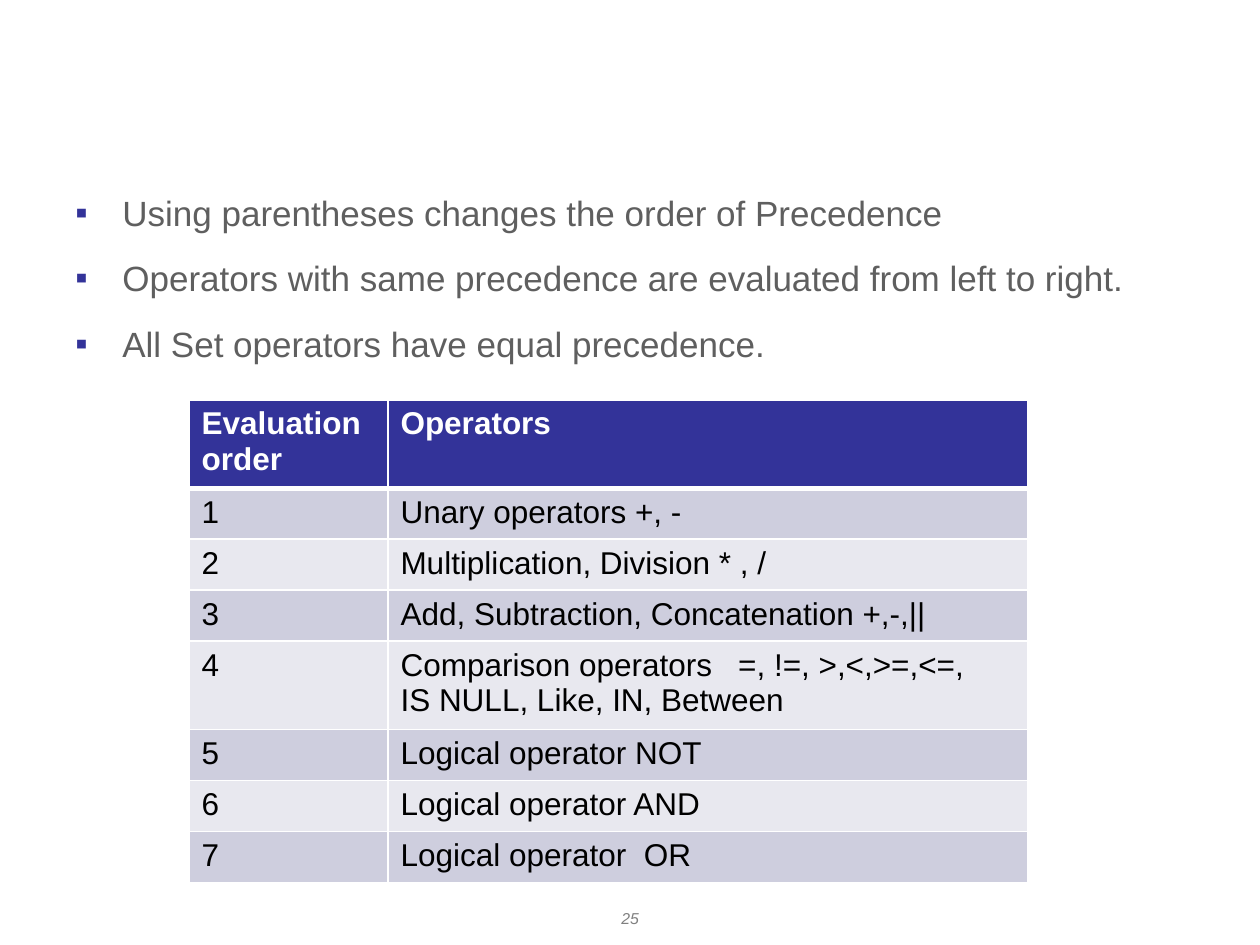
import dataclasses

import pptx
import pptx.dml.color
import pptx.enum.text
import pptx.oxml
import pptx.oxml.ns
import pptx.util

ALIGN = pptx.enum.text.PP_ALIGN


@dataclasses.dataclass(frozen=True)
class Theme:
    font: str = "Arial"
    navy: str = "333399"
    gray: str = "5F5F5F"
    pale: str = "808080"
    black: str = "000000"
    white: str = "FFFFFF"
    bands: tuple = ("CECEDE", "E8E8EF")
    body: int = 20
    cell: int = 18
    note: int = 9


def px(n):
    return pptx.util.Emu(round(n * 914400 / 126))


def color(code):
    return pptx.dml.color.RGBColor.from_string(code)


def node(tag, inner="", **attrs):
    names = " ".join(f'{key}="{val}"' for key, val in attrs.items())
    space = pptx.oxml.ns.nsdecls("a")
    return pptx.oxml.parse_xml(f"<a:{tag} {space} {names}>{inner}</a:{tag}>")


def solid(code):
    return f'<a:solidFill><a:srgbClr val="{code}"/></a:solidFill>'


def write(frame, text, font, size, ink, bold=False, slant=False, align=ALIGN.LEFT):
    frame.word_wrap = True
    for i, line in enumerate(text.split("\n")):
        par = frame.paragraphs[0] if i == 0 else frame.add_paragraph()
        par.alignment = align
        run = par.add_run()
        run.text = line
        run.font.name = font
        run.font.size = pptx.util.Pt(size)
        run.font.bold = bold
        run.font.italic = slant
        run.font.color.rgb = color(ink)


class Deck:
    def __init__(self, theme):
        self.theme = theme
        self.file = pptx.Presentation()
        self.file.slide_width = px(1260)
        self.file.slide_height = px(945)
        self.slide = self.file.slides.add_slide(self.file.slide_layouts[6])

    def text(self, box, text, **style):
        frame = self.slide.shapes.add_textbox(*map(px, box)).text_frame
        write(frame, text, self.theme.font, **style)
        return frame

    def list(self, box, lines):
        look = self.theme
        frame = self.text(box, "\n".join(lines), size=look.body, ink=look.gray)
        for par in frame.paragraphs:
            par.line_spacing = 1.4
            props = par._p.get_or_add_pPr()
            props.set("marL", str(px(47)))
            props.set("indent", str(-px(47)))
            props.append(node("spcBef", '<a:spcPct val="20000"/>'))
            props.append(node("buClr", f'<a:srgbClr val="{look.navy}"/>'))
            props.append(node("buFont", typeface=look.font))
            props.append(node("buChar", char="▪"))

    def edge(self, cell, side, points):
        width = pptx.util.Pt(points)
        line = node(side, solid(self.theme.white), w=width)
        cell._tc.get_or_add_tcPr().append(line)

    def table(self, left, top, cols, highs, rows):
        look = self.theme
        size = map(px, (left, top, sum(cols), sum(highs)))
        grid = self.slide.shapes.add_table(len(rows), len(cols), *size).table
        grid.first_row = grid.horz_banding = False
        for col, wide in zip(grid.columns, cols):
            col.width = px(wide)
        for r, (row, high) in enumerate(zip(rows, highs)):
            grid.rows[r].height = px(high)
            head = r == 0
            for c, words in enumerate(row):
                cell = grid.cell(r, c)
                write(cell.text_frame, words, look.font, look.cell,
                      look.white if head else look.black, bold=head)
                for side in ("lnL", "lnR"):
                    self.edge(cell, side, 1)
                self.edge(cell, "lnT", 3 if r == 1 else 1)
                self.edge(cell, "lnB", 3 if head else 1)
                cell.fill.solid()
                fill = look.navy if head else look.bands[(r - 1) % 2]
                cell.fill.fore_color.rgb = color(fill)


def main():
    look = Theme()
    deck = Deck(look)
    deck.list((63, 168, 1134, 724), [
        "Using parentheses changes the order of Precedence",
        "Operators with same precedence are evaluated from left to right.",
        "All Set operators have equal precedence.",
    ])
    deck.text((483, 903, 294, 33), "25", size=look.note, ink=look.pale,
              slant=True, align=ALIGN.CENTER)
    levels = [
        "Unary operators +, -",
        "Multiplication, Division * , /",
        "Add, Subtraction, Concatenation +,-,||",
        "Comparison operators   =, !=, >,<,>=,<=,\nIS NULL, Like, IN, Between",
        "Logical operator NOT",
        "Logical operator AND",
        "Logical operator  OR",
    ]
    rows = [("Evaluation order", "Operators")]
    rows += [(str(i), level) for i, level in enumerate(levels, 1)]
    highs = [82] + [83 if "\n" in level else 51 for level in levels]
    deck.table(189, 400, (199, 640), highs, rows)
    deck.file.save("out.pptx")


if __name__ == "__main__":
    main()
